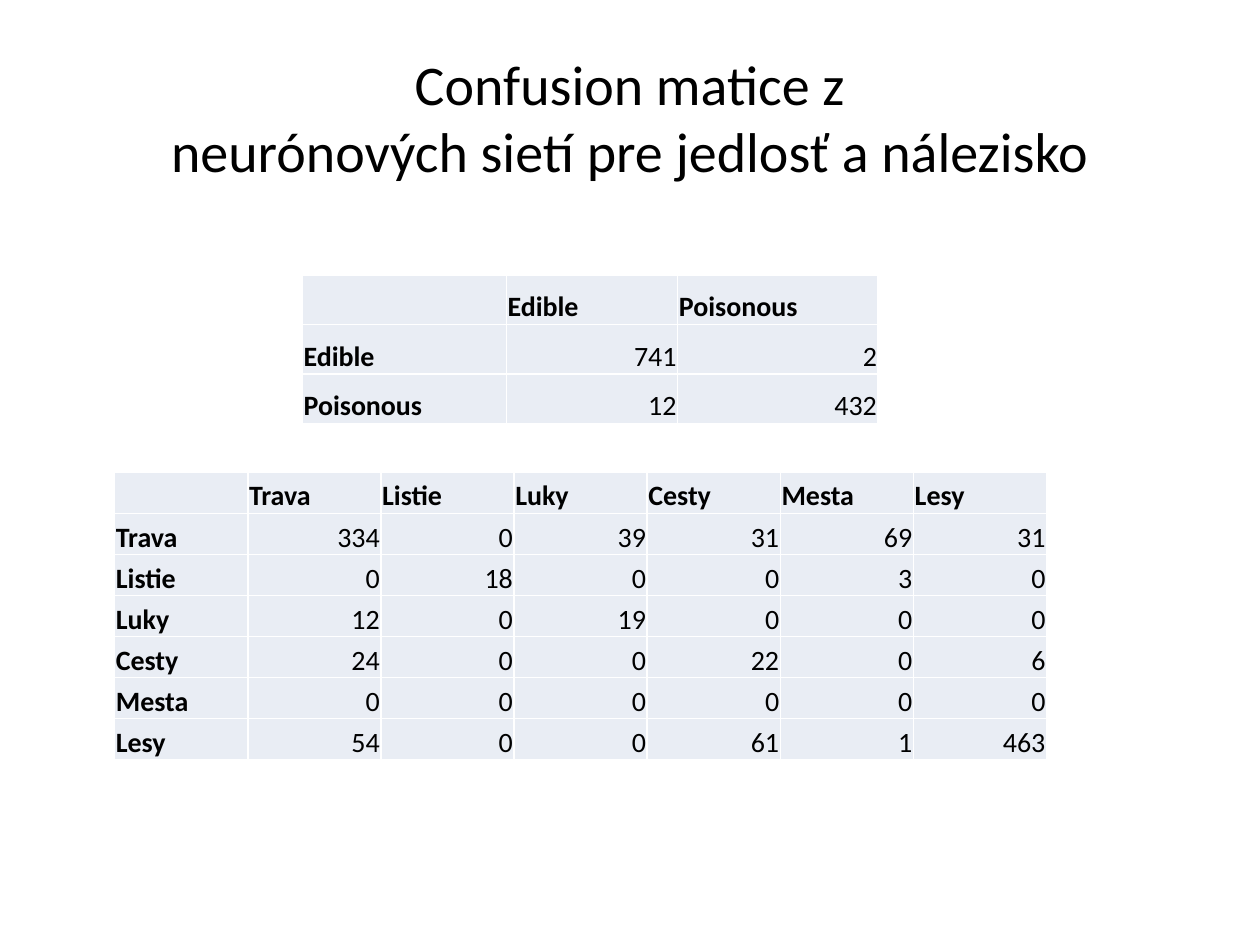
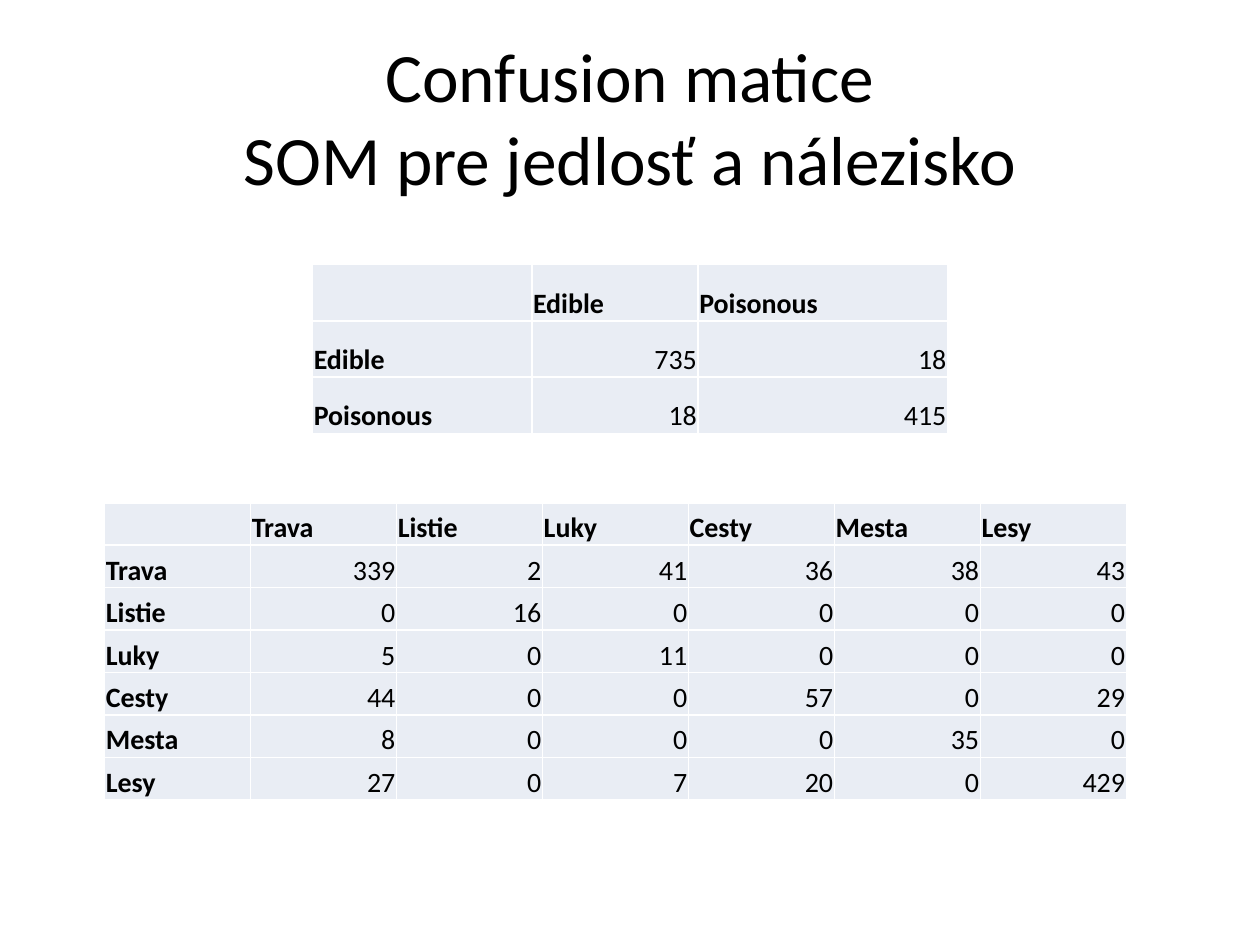
import dataclasses

import pptx
import pptx.dml.color
import pptx.enum.text
import pptx.oxml
import pptx.oxml.ns
import pptx.util

Pt = pptx.util.Pt
RGB = pptx.dml.color.RGBColor.from_string
ALIGN = pptx.enum.text.PP_ALIGN
ANCHOR = pptx.enum.text.MSO_ANCHOR

EDIBILITY = ["Edible", "Poisonous"]
HABITATS = ["Trava", "Listie", "Luky", "Cesty", "Mesta", "Lesy"]

SLIDES = [
    {
        "title": ["Confusion matice z", "neurónových sietí pre jedlosť a nálezisko"],
        "title_size": 32,
        "matrices": [
            {
                "labels": EDIBILITY,
                "counts": [[741, 2], [12, 432]],
                "corner": (172.8, 157),
                "widths": [116.6, 97.9, 114.5],
                "row_height": 28.3,
            },
            {
                "labels": HABITATS,
                "counts": [
                    [334, 0, 39, 31, 69, 31],
                    [0, 18, 0, 0, 3, 0],
                    [12, 0, 19, 0, 0, 0],
                    [24, 0, 0, 22, 0, 6],
                    [0, 0, 0, 0, 0, 0],
                    [54, 0, 0, 61, 1, 463],
                ],
                "corner": (65.5, 270),
                "widths": [76.1] * 7,
                "row_height": 23.45,
            },
        ],
    },
    {
        "title": ["Confusion matice", "SOM pre jedlosť a nálezisko"],
        "title_size": 39.6,
        "matrices": [
            {
                "labels": EDIBILITY,
                "counts": [[735, 18], [18, 415]],
                "corner": (178.6, 151.2),
                "widths": [125.3, 95, 142.6],
                "row_height": 32.2,
            },
            {
                "labels": HABITATS,
                "counts": [
                    [339, 2, 41, 36, 38, 43],
                    [0, 16, 0, 0, 0, 0],
                    [5, 0, 11, 0, 0, 0],
                    [44, 0, 0, 57, 0, 29],
                    [8, 0, 0, 0, 35, 0],
                    [27, 0, 7, 20, 0, 429],
                ],
                "corner": (59.8, 287.3),
                "widths": [83.4] * 7,
                "row_height": 24.27,
            },
        ],
    },
]


@dataclasses.dataclass(frozen=True)
class Theme:
    font: str = "Calibri"
    ink: str = "000000"
    cell: str = "E9EDF4"
    rule: str = "FFFFFF"
    rule_width: float = 1
    cell_size: float = 16
    cell_inset: float = 0.72


THEME = Theme()
TITLE_BOX = (36, 21.6, 648, 90)


def style(paragraph, size, align, bold=False):
    paragraph.alignment = align
    paragraph.font.name = THEME.font
    paragraph.font.size = Pt(size)
    paragraph.font.bold = bold
    paragraph.font.color.rgb = RGB(THEME.ink)


def add_title(slide, lines, size):
    frame = slide.shapes.add_textbox(*map(Pt, TITLE_BOX)).text_frame
    frame.word_wrap = True
    frame.vertical_anchor = ANCHOR.MIDDLE
    frame.text = "\v".join(lines)
    style(frame.paragraphs[0], size, ALIGN.CENTER)


def rule_cell(cell):
    properties = cell._tc.get_or_add_tcPr()
    for side in ("lnL", "lnR", "lnT", "lnB"):
        properties.append(pptx.oxml.parse_xml(
            f'<a:{side} {pptx.oxml.ns.nsdecls("a")} w="{Pt(THEME.rule_width)}">'
            f'<a:solidFill><a:srgbClr val="{THEME.rule}"/></a:solidFill></a:{side}>'
        ))


def fill_cell(cell, entry):
    is_label = isinstance(entry, str)
    cell.text = str(entry)
    cell.vertical_anchor = ANCHOR.BOTTOM
    cell.margin_left = cell.margin_top = cell.margin_right = Pt(THEME.cell_inset)
    cell.margin_bottom = 0
    style(cell.text_frame.paragraphs[0], THEME.cell_size,
          ALIGN.LEFT if is_label else ALIGN.RIGHT, is_label)
    rule_cell(cell)
    cell.fill.solid()
    cell.fill.fore_color.rgb = RGB(THEME.cell)


def add_matrix(slide, labels, counts, corner, widths, row_height):
    entries = [["", *labels]]
    entries += [[label, *row] for label, row in zip(labels, counts)]
    size = sum(widths), row_height * len(entries)
    matrix = slide.shapes.add_table(
        len(entries), len(widths), *map(Pt, corner + size)).table
    for column, width in zip(matrix.columns, widths):
        column.width = Pt(width)
    for r, row in enumerate(entries):
        matrix.rows[r].height = Pt(row_height)
        for c, entry in enumerate(row):
            fill_cell(matrix.cell(r, c), entry)


def main():
    deck = pptx.Presentation()
    deck.slide_width, deck.slide_height = Pt(720), Pt(540)
    for content in SLIDES:
        slide = deck.slides.add_slide(deck.slide_layouts[6])
        add_title(slide, content["title"], content["title_size"])
        for matrix in content["matrices"]:
            add_matrix(slide, **matrix)
    deck.save("out.pptx")


if __name__ == "__main__":
    main()
